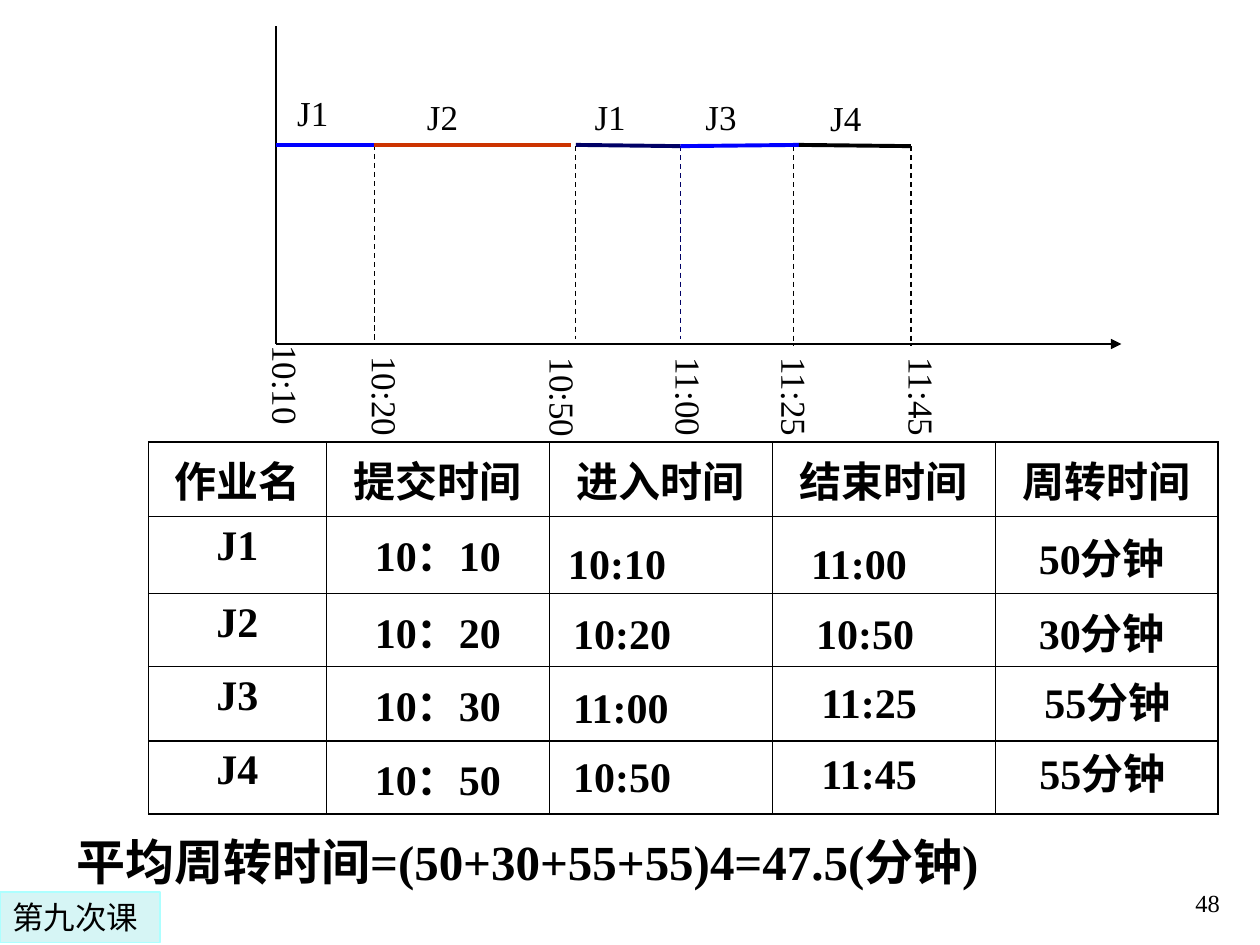
import pptx
import pptx.chart.data
import pptx.dml.color
import pptx.enum.dml
import pptx.enum.shapes
import pptx.enum.text
import pptx.oxml
import pptx.oxml.ns
import pptx.util
from lxml import etree

Inches = pptx.util.Inches
ALIGN = pptx.enum.text.PP_ALIGN
ANCHOR = pptx.enum.text.MSO_ANCHOR
qn = pptx.oxml.ns.qn

COLORS = {
    "black": "000000",
    "blue": "0000FF",
    "red": "CC3300",
    "navy": "000066",
    "badge": "D6F5F5",
    "badge_line": "ADFFFF",
}
AXIS_X, AXIS_Y = 2.19, 2.73

SEGMENTS = [
    ("J1", (2.26, 0.68), (2.19, 1.15), (2.97, 1.15), "blue"),
    ("J2", (3.29, 0.71), (2.97, 1.15), (4.53, 1.15), "red"),
    ("J1", (4.62, 0.71), (4.57, 1.15), (5.4, 1.16), "navy"),
    ("J3", (5.5, 0.71), (5.4, 1.16), (6.34, 1.15), "blue"),
    ("J4", (6.49, 0.72), (6.34, 1.15), (7.23, 1.16), "black"),
]
TICKS = [
    ("10:20", 2.75, 2.73, 2.97, 1.15, 2.73, "black"),
    ("10:50", 4.16, 2.74, 4.57, 1.16, 2.69, "black"),
    ("11:00", 5.16, 2.74, 5.4, 1.16, 2.69, "navy"),
    ("11:25", 6, 2.74, 6.3, 1.16, 2.74, "black"),
    ("11:45", 7.01, 2.74, 7.23, 1.16, 2.74, "black"),
]
HEADERS = ["作业名", "提交时间", "进入时间", "结束时间", "周转时间"]
JOBS = [("J1", "10：10"), ("J2", "10：20"), ("J3", "10：30"), ("J4", "10：50")]
COL_WIDTHS = [1.41, 1.77, 1.77, 1.77, 1.77]
ROW_HEIGHTS = [0.59, 0.61, 0.58, 0.59, 0.58]
TIMES = [
    ("10:10", 4.41, 4.22), ("11:00", 6.34, 4.22),
    ("10:20", 4.45, 4.77), ("10:50", 6.38, 4.77),
    ("11:00", 4.45, 5.36), ("11:25", 6.42, 5.32),
    ("10:50", 4.45, 5.91), ("11:45", 6.42, 5.88),
]
TURNAROUNDS = [
    ("50分钟", 7.84, 4.18, 1.81, ALIGN.CENTER),
    ("30分钟", 7.84, 4.77, 1.81, ALIGN.CENTER),
    ("55分钟", 8.19, 5.32, 1.38, ALIGN.LEFT),
    ("55分钟", 8.15, 5.88, 1.38, ALIGN.LEFT),
]


def rgb(name):
    return pptx.dml.color.RGBColor.from_string(COLORS[name])


def write(tf, text, size=24, bold=False, align=ALIGN.LEFT, font="Times New Roman"):
    p = tf.paragraphs[0]
    p.alignment = align
    r = p.add_run()
    r.text = text
    r.font.size = pptx.util.Pt(size)
    r.font.bold = bold
    r.font.name = font
    r.font.color.rgb = rgb("black")


def add_text(s, text, x, y, w, h, anchor=ANCHOR.TOP, vertical=False, insets=None, **fmt):
    sp = s.shapes.add_textbox(Inches(x), Inches(y), Inches(w), Inches(h))
    tf = sp.text_frame
    tf.word_wrap = True
    tf.vertical_anchor = anchor
    if insets:
        tf.margin_left = tf.margin_right = Inches(insets[0])
        tf.margin_top = tf.margin_bottom = Inches(insets[1])
    if vertical:
        tf._txBody.bodyPr.set("vert", "eaVert")
    write(tf, text, **fmt)


def add_line(s, start, end, color="black", width=0.75, dashed=False, arrow=False):
    points = [Inches(v) for v in (*start, *end)]
    sp = s.shapes.add_connector(pptx.enum.shapes.MSO_CONNECTOR.STRAIGHT, *points)
    sp.line.color.rgb = rgb(color)
    sp.line.width = pptx.util.Pt(width)
    if dashed:
        sp.line.dash_style = pptx.enum.dml.MSO_LINE.DASH
    if arrow:
        etree.SubElement(sp.line._get_or_add_ln(), qn("a:tailEnd"), type="triangle")
    etree.SubElement(sp._element.spPr, qn("a:effectLst"))


def add_borders(cell):
    tcPr = cell._tc.get_or_add_tcPr()
    for side in ("a:lnL", "a:lnR", "a:lnT", "a:lnB"):
        ln = etree.SubElement(tcPr, qn(side), w=str(pptx.util.Pt(1)))
        fill = etree.SubElement(ln, qn("a:solidFill"))
        etree.SubElement(fill, qn("a:srgbClr"), val=COLORS["black"])


def add_job_table(s):
    rows = [HEADERS] + [[name, submitted, "", "", ""] for name, submitted in JOBS]
    frame = s.shapes.add_table(
        len(rows), len(HEADERS), Inches(1.18), Inches(3.51),
        Inches(sum(COL_WIDTHS)), Inches(sum(ROW_HEIGHTS)))
    table = frame.table
    table.first_row = table.horz_banding = False
    for column, width in zip(table.columns, COL_WIDTHS):
        column.width = Inches(width)
    for row, height, texts in zip(table.rows, ROW_HEIGHTS, rows):
        row.height = Inches(height)
        for cell, text in zip(row.cells, texts):
            add_borders(cell)
            cell.fill.background()
            if text:
                write(cell.text_frame, text, bold=True, align=ALIGN.CENTER)


def add_timeline(s):
    add_line(s, (AXIS_X, AXIS_Y), (8.9, AXIS_Y), arrow=True)
    add_line(s, (AXIS_X, AXIS_Y), (AXIS_X, 0.21))
    add_text(s, "10:10", 2.09, AXIS_Y, 0.37, 1.04, vertical=True,
             insets=(0.02, 0.01), size=20)
    for text, x, y, tick_x, top, bottom, color in TICKS:
        add_line(s, (tick_x, top), (tick_x, bottom), color, dashed=True)
        add_text(s, text, x, y, 0.53, 1.18, vertical=True, size=20)
    for job, (x, y), start, end, color in SEGMENTS:
        add_line(s, start, end, color, width=2.25)
        add_text(s, job, x, y, 0.55, 0.43, size=20)


def add_badge(s, text):
    sp = s.shapes.add_shape(pptx.enum.shapes.MSO_SHAPE.RECTANGLE,
                            Inches(0), Inches(7.08), Inches(1.27), Inches(0.4))
    sp.shadow.inherit = False
    sp.fill.solid()
    sp.fill.fore_color.rgb = rgb("badge")
    sp.line.color.rgb = rgb("badge_line")
    sp.line.width = pptx.util.Pt(0.75)
    sp.text_frame.vertical_anchor = ANCHOR.TOP
    write(sp.text_frame, text, size=18, font="DejaVu Sans")


def main():
    prs = pptx.Presentation()
    prs.slide_width, prs.slide_height = Inches(10), Inches(7.5)
    s = prs.slides.add_slide(prs.slide_layouts[6])
    add_text(s, "48", 7.7, 6.83, 2.08, 0.5, anchor=ANCHOR.BOTTOM,
             size=14, align=ALIGN.RIGHT)
    add_job_table(s)
    add_text(s, "平均周转时间=(50+30+55+55)4=47.5(分钟)", 0.51, 6.55, 8.76, 0.57,
             size=28, bold=True)
    for text, x, y in TIMES:
        add_text(s, text, x, y, 1.1, 0.5, bold=True)
    for text, x, y, w, align in TURNAROUNDS:
        add_text(s, text, x, y, w, 0.5, bold=True, align=align)
    add_timeline(s)
    add_badge(s, "第九次课")
    prs.save("out.pptx")


if __name__ == "__main__":
    main()
